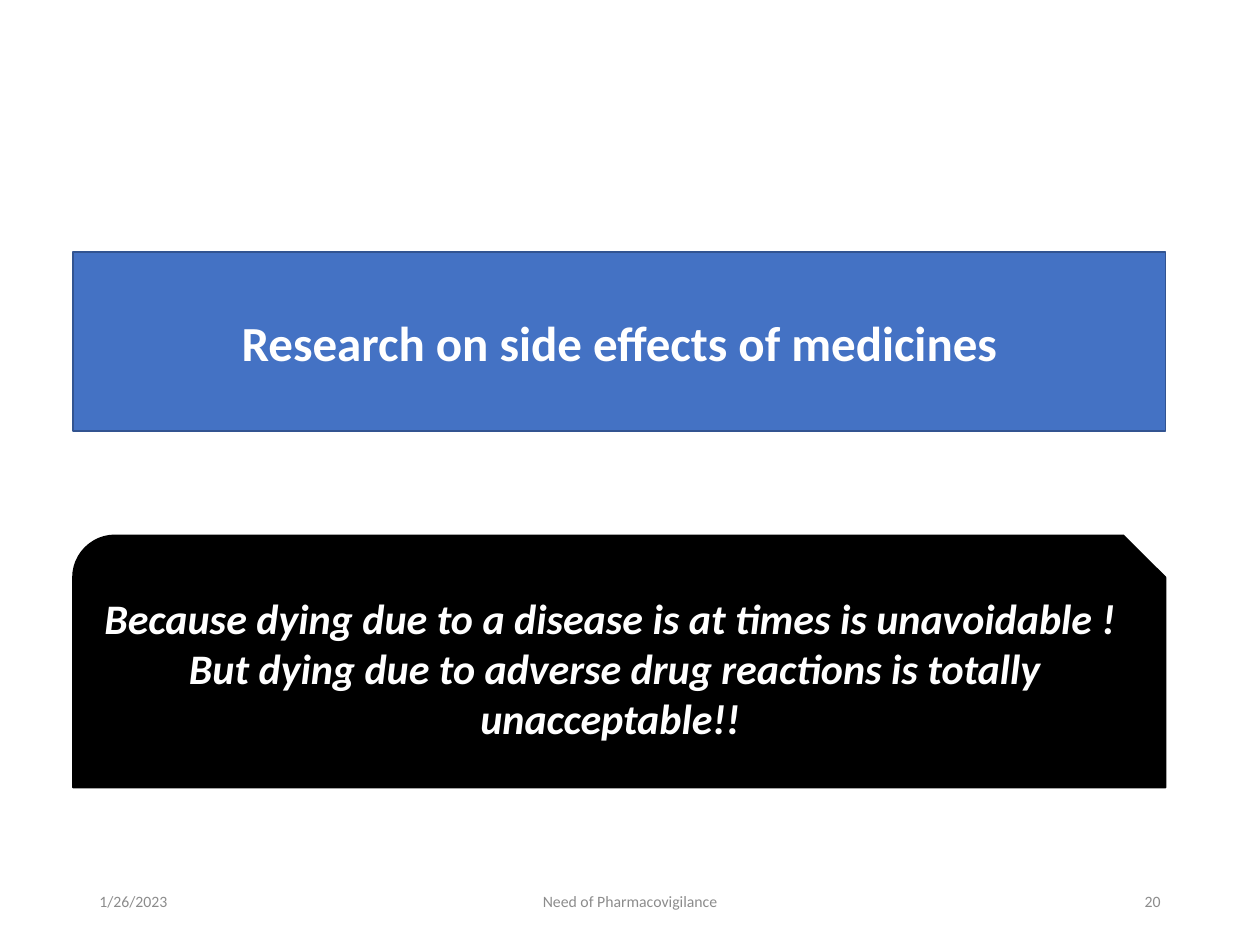
"""Build the slide on research into the side effects of medicines."""
from pptx import Presentation, util as u
from pptx.dml.color import RGBColor
from pptx.enum import shapes, text

COLORS = {"blue": "4472C4", "edge": "325491", "black": "000000",
          "white": "FFFFFF", "gray": "8C8C8C"}
ALIGN = text.PP_ALIGN
SHAPE = shapes.MSO_SHAPE


class SlideBuilder:
    def __init__(self, slide, font="Calibri"):
        self.slide = slide
        self.font = font

    def add_text(self, box, lines, size, color, align, bold=False, italic=False):
        frame = box.text_frame
        frame.word_wrap = True
        frame.vertical_anchor = text.MSO_ANCHOR.MIDDLE
        for index, line in enumerate(lines):
            para = frame.add_paragraph() if index else frame.paragraphs[0]
            para.alignment = align
            span = para.add_run()
            span.text = line
            span.font.name = self.font
            span.font.size = u.Pt(size)
            span.font.bold = bold
            span.font.italic = italic
            span.font.color.rgb = RGBColor.from_string(COLORS[color])

    def panel(self, kind, top, height, fill, line, lines, size, italic=False):
        box = self.slide.shapes.add_shape(
            kind, u.Inches(0.58), u.Inches(top), u.Inches(8.67), u.Inches(height))
        box.shadow.inherit = False
        box.fill.solid()
        box.fill.fore_color.rgb = RGBColor.from_string(COLORS[fill])
        box.line.color.rgb = RGBColor.from_string(COLORS[line])
        box.line.width = u.Pt(1)
        self.add_text(box, lines, size, "white", ALIGN.CENTER, True, italic)

    def footer(self, left, width, words, align):
        box = self.slide.shapes.add_textbox(
            u.Inches(left), u.Inches(6.95), u.Inches(width), u.Inches(0.4))
        self.add_text(box, [words], 9, "gray", align)


def main():
    deck = Presentation()
    deck.slide_width, deck.slide_height = u.Inches(10), u.Inches(7.5)
    page = SlideBuilder(deck.slides.add_slide(deck.slide_layouts[6]))
    page.footer(0.69, 2.25, "1/26/2023", ALIGN.LEFT)
    page.footer(3.31, 3.38, "Need of Pharmacovigilance", ALIGN.CENTER)
    page.footer(7.06, 2.25, "20", ALIGN.RIGHT)
    page.panel(SHAPE.RECTANGLE, 2, 1.42, "blue", "edge",
               ["Research on side effects of medicines"], 28)
    page.panel(SHAPE.SNIP_ROUND_RECTANGLE, 4.25, 2, "black", "black",
               ["Because dying due to a disease is at times is unavoidable ! ",
                "But dying due to adverse drug reactions is totally unacceptable!! "],
               24, italic=True)
    deck.save("out.pptx")


if __name__ == "__main__":
    main()
